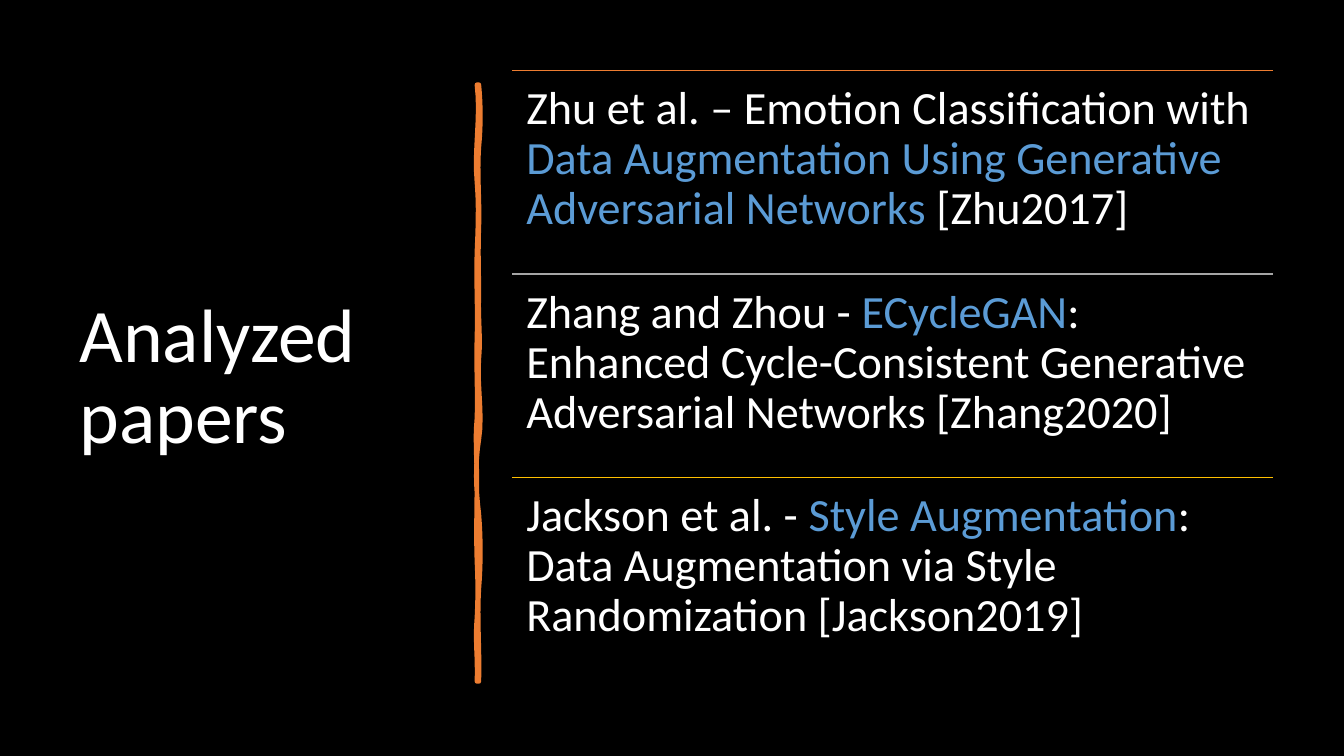
from lxml import etree
from pptx import Presentation
from pptx.dml.color import RGBColor
from pptx.enum.shapes import MSO_CONNECTOR
from pptx.enum.text import MSO_ANCHOR
from pptx.oxml.ns import qn
from pptx.util import Inches, Pt

STRAIGHT = MSO_CONNECTOR.STRAIGHT
TOP, MIDDLE = MSO_ANCHOR.TOP, MSO_ANCHOR.MIDDLE

BLACK = RGBColor(0x00, 0x00, 0x00)
WHITE = RGBColor(0xFF, 0xFF, 0xFF)
BLUE = RGBColor(0x5B, 0x9B, 0xD5)
ORANGE = RGBColor(0xED, 0x7D, 0x31)
GRAY = RGBColor(0xA5, 0xA5, 0xA5)
GOLD = RGBColor(0xFF, 0xC0, 0x00)

FONT = "Calibri"
SLIDE_W, SLIDE_H = 13.33, 7.5

# Regions in inches: left, top, width, height
TITLE_BOX = (0.69, 0.7, 3.74, 6.11)
BRUSH_BOX = (4.73, 0.84, 0.02, 5.92)
PAPERS_BOX = (5.08, 0.7, 7.55, 6.06)

# Each paper: rule colour, then its text as (words, colour)
PAPERS = [
    (ORANGE, [("Zhu et al. – Emotion Classification with ", WHITE),
              ("Data Augmentation Using Generative Adversarial Networks ", BLUE),
              ("[Zhu2017]", WHITE)]),
    (GRAY, [("Zhang and Zhou - ", WHITE),
            ("ECycleGAN", BLUE),
            (": Enhanced Cycle-Consistent Generative Adversarial Networks [Zhang2020]", WHITE)]),
    (GOLD, [("Jackson et al. - ", WHITE),
            ("Style Augmentation", BLUE),
            (": Data Augmentation via Style Randomization [Jackson2019]", WHITE)]),
]

# Waves along the brush edges: depth of the wave's end, pull of its two controls
RIGHT_WAVES = [(0.62, 0.02, 0.02), (1.42, -0.02, 0.01), (2.1, -0.01, 0),
               (2.72, -0.01, 0.02), (3.52, -0.02, 0.04), (4.26, -0.04, -0.03),
               (5.0, 0.02, 0.02), (5.92, -0.02, 0.01)]
LEFT_WAVES = [(5.29, 0.01, -0.02), (4.73, 0.01, 0.01), (3.93, -0.01, 0),
              (3.31, 0, -0.02), (2.51, 0.01, -0.01), (1.66, 0.01, -0.01),
              (0.97, 0.01, 0.02), (0, -0.03, 0.04)]
WAVE_STEPS = 8


def add_text(slide, box, runs, size, inset, anchor):
    frame = slide.shapes.add_textbox(*map(Inches, box)).text_frame
    settings = {"word_wrap": True, "vertical_anchor": anchor,
                "margin_left": inset, "margin_right": inset,
                "margin_top": inset, "margin_bottom": inset}
    for key, value in settings.items():
        setattr(frame, key, value)
    paragraph = frame.paragraphs[0]
    paragraph.line_spacing = 0.9
    for words, color in runs:
        run = paragraph.add_run()
        run.text = words
        run.font.name = FONT
        run.font.size = Pt(size)
        run.font.color.rgb = color


def edge_points(x, start, waves):
    """Points of a wavy vertical edge, one cubic curve per wave."""
    points = []
    for end, pull_1, pull_2 in waves:
        for step in range(1, WAVE_STEPS + 1):
            t = step / WAVE_STEPS
            sway = 3 * t * (1 - t) * ((1 - t) * pull_1 + t * pull_2)
            points.append((Inches(x + sway), Inches(start + (end - start) * t)))
        start = end
    return points


def add_brush_line(slide, box):
    left, top, width, height = box
    outline = slide.shapes.build_freeform(Inches(width), 0, scale=1.0)
    outline.add_line_segments(edge_points(width, 0, RIGHT_WAVES)
                              + [(0, Inches(height))]
                              + edge_points(0, height, LEFT_WAVES), close=True)
    brush = outline.convert_to_shape(Inches(left), Inches(top))
    brush.shadow.inherit = False
    brush.fill.solid()
    brush.fill.fore_color.rgb = ORANGE
    brush.line.color.rgb = ORANGE
    brush.line.width = Pt(3.25)
    etree.SubElement(brush.line._get_or_add_ln(), qn("a:round"))


def add_rule(slide, left, top, width, color):
    rule = slide.shapes.add_connector(STRAIGHT, Inches(left), Inches(top),
                                      Inches(left + width), Inches(top))
    rule.line.color.rgb = color
    rule.line.width = Pt(1)
    etree.SubElement(rule._element.spPr, qn("a:effectLst"))


def add_papers(slide, box):
    left, top, width, height = box
    row_height = height / len(PAPERS)
    for row, (rule_color, runs) in enumerate(PAPERS):
        row_top = top + row * row_height
        add_rule(slide, left, row_top, width, rule_color)
        add_text(slide, (left, row_top, width, row_height), runs,
                 33, Inches(0.14), TOP)


def main():
    deck = Presentation()
    deck.slide_width, deck.slide_height = Inches(SLIDE_W), Inches(SLIDE_H)
    slide = deck.slides.add_slide(deck.slide_layouts[6])
    slide.background.fill.solid()
    slide.background.fill.fore_color.rgb = BLACK

    # Title, divider, list of papers
    add_text(slide, TITLE_BOX, [("Analyzed papers", WHITE)], 54, Inches(0.1), MIDDLE)
    add_brush_line(slide, BRUSH_BOX)
    add_papers(slide, PAPERS_BOX)
    deck.save("out.pptx")


if __name__ == "__main__":
    main()
